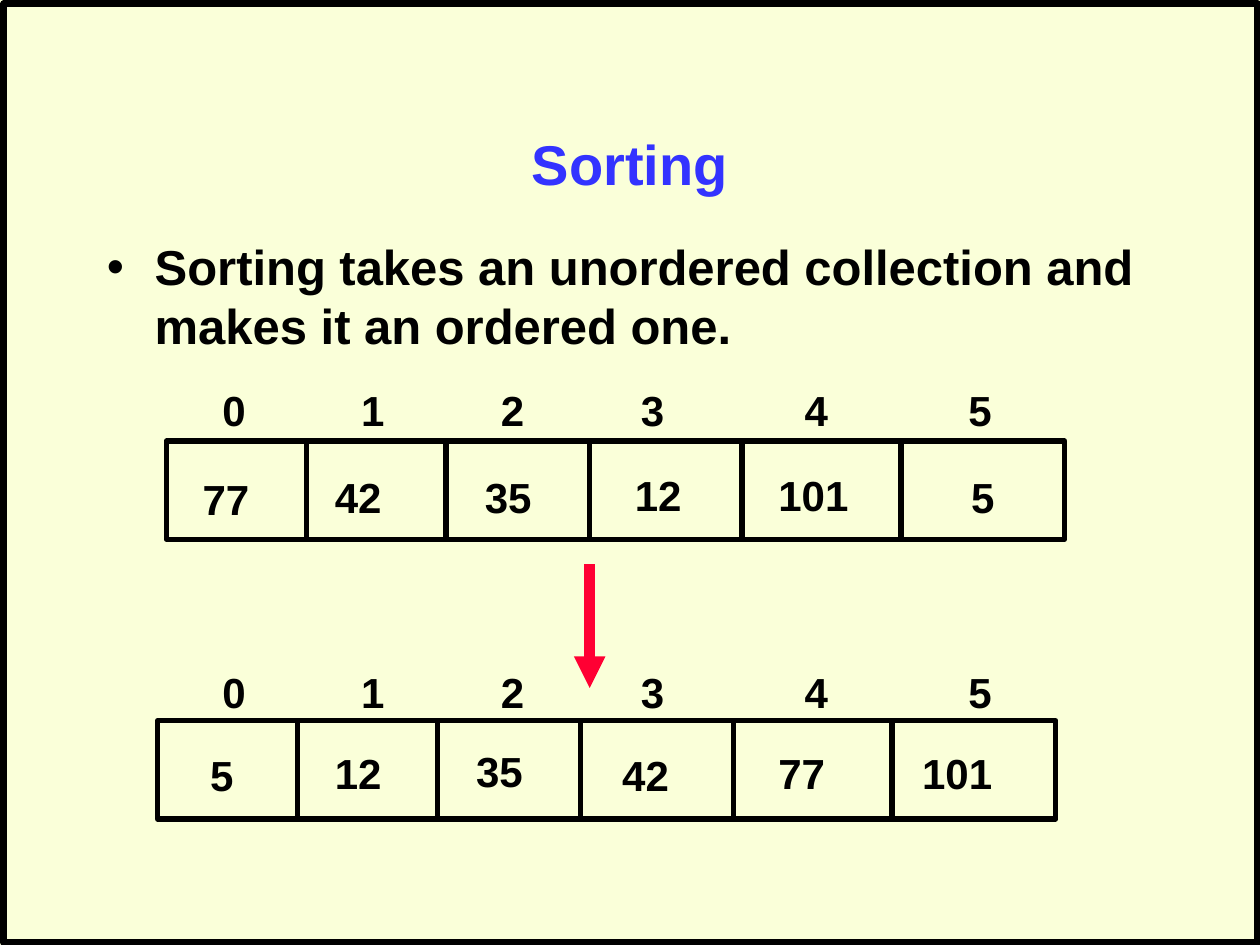
from lxml.etree import SubElement
from pptx import Presentation
from pptx.dml.color import RGBColor
from pptx.enum.shapes import MSO_CONNECTOR, MSO_SHAPE
from pptx.enum.text import MSO_ANCHOR, MSO_AUTO_SIZE, PP_ALIGN
from pptx.oxml.ns import qn
from pptx.util import Inches, Pt

COLORS = {"background": "FAFFD9", "title": "3333FF", "ink": "000000", "arrow": "FF0033"}
ARRAY_WIDTH, ARRAY_HEIGHT = 7.13, 0.78
DIVIDER_OFFSETS = [1.11, 2.22, 3.36, 4.57, 5.83]
INDEX_CENTERS = [1.86, 2.96, 4.07, 5.18, 6.48, 7.78]
# Each value is followed by the left and top of its text.
UNSORTED = [("77", 1.51, 3.71), ("42", 2.56, 3.69), ("35", 3.75, 3.69),
            ("12", 4.94, 3.68), ("101", 6.08, 3.68), ("5", 7.61, 3.69)]
SORTED = [("5", 1.57, 5.9), ("12", 2.56, 5.88), ("35", 3.68, 5.87),
          ("42", 4.84, 5.9), ("77", 6.08, 5.88), ("101", 7.22, 5.88)]


def color(name):
    return RGBColor.from_string(COLORS[name])


def add_text(shapes, text, left, top, width, height, *, size=24, color_name="ink",
             align=PP_ALIGN.LEFT, anchor=MSO_ANCHOR.TOP, wrap=True, grow=False):
    """Add bold Arial text and return its paragraph."""
    box = shapes.add_textbox(Inches(left), Inches(top), Inches(width), Inches(height))
    frame = box.text_frame
    frame.word_wrap = wrap
    frame.auto_size = MSO_AUTO_SIZE.SHAPE_TO_FIT_TEXT if grow else MSO_AUTO_SIZE.NONE
    frame.vertical_anchor = anchor
    paragraph = frame.paragraphs[0]
    paragraph.alignment = align
    run = paragraph.add_run()
    run.text = text
    run.font.name = "Arial"
    run.font.size = Pt(size)
    run.font.bold = True
    run.font.color.rgb = color(color_name)
    return paragraph


def add_bullet(paragraph):
    paragraph.space_before = Pt(5.6)
    properties = paragraph._p.get_or_add_pPr()
    properties.set("marL", str(Inches(0.38)))
    properties.set("indent", str(Inches(-0.38)))
    SubElement(properties, qn("a:buFont"), typeface="Arial")
    SubElement(properties, qn("a:buChar"), char="•")


def add_outline(shapes, left, top, width, height, weight):
    shape = shapes.add_shape(MSO_SHAPE.RECTANGLE, Inches(left), Inches(top),
                             Inches(width), Inches(height))
    shape.shadow.inherit = False
    shape.fill.background()
    shape.line.color.rgb = color("ink")
    shape.line.width = Pt(weight)


def add_vertical_line(shapes, x, top, bottom, weight=3, color_name="ink", arrow=False):
    line = shapes.add_connector(MSO_CONNECTOR.STRAIGHT, Inches(x), Inches(top),
                                Inches(x), Inches(bottom))
    line.line.color.rgb = color(color_name)
    line.line.width = Pt(weight)
    if arrow:
        SubElement(line.line._get_or_add_ln(), qn("a:tailEnd"), type="triangle")
    SubElement(line._element.spPr, qn("a:effectLst"))


def add_array(shapes, left, top, values):
    add_outline(shapes, left, top, ARRAY_WIDTH, ARRAY_HEIGHT, 3)
    for offset in DIVIDER_OFFSETS:
        add_vertical_line(shapes, left + offset, top, top + ARRAY_HEIGHT)
    for value, value_left, value_top in values:
        width = 0.2 + 0.185 * len(value)
        add_text(shapes, value, value_left, value_top, width, 0.5, wrap=False, grow=True)


def add_index_row(shapes, top):
    """Add the indexes as one line of text, each on a centred tab stop."""
    text = "".join(f"\t{index}" for index in range(len(INDEX_CENTERS)))
    paragraph = add_text(shapes, text, 0, top, 10, 0.51, grow=True)
    tab_list = SubElement(paragraph._p.get_or_add_pPr(), qn("a:tabLst"))
    for center in INDEX_CENTERS:
        SubElement(tab_list, qn("a:tab"), pos=str(Inches(center - 0.1)), algn="ctr")


def main():
    presentation = Presentation()
    presentation.slide_width = Inches(10)
    presentation.slide_height = Inches(7.5)
    slide = presentation.slides.add_slide(presentation.slide_layouts[6])
    slide.background.fill.solid()
    slide.background.fill.fore_color.rgb = color("background")
    shapes = slide.shapes

    add_outline(shapes, 0.03, 0.03, 9.95, 7.45, 3.75)
    add_text(shapes, "Sorting", 0.75, 0.67, 8.5, 1.25, size=32, color_name="title",
             align=PP_ALIGN.CENTER, anchor=MSO_ANCHOR.MIDDLE)
    body = add_text(shapes, "Sorting takes an unordered collection and makes it an ordered one.",
                    0.75, 1.83, 8.5, 4.83, size=28)
    add_bullet(body)

    add_array(shapes, 1.32, 3.5, UNSORTED)
    add_array(shapes.add_group_shape().shapes, 1.25, 5.72, SORTED)
    add_index_row(shapes, 3)
    add_vertical_line(shapes, 4.68, 4.48, 5.46, weight=6, color_name="arrow", arrow=True)
    add_index_row(shapes, 5.24)
    presentation.save("out.pptx")


if __name__ == "__main__":
    main()
